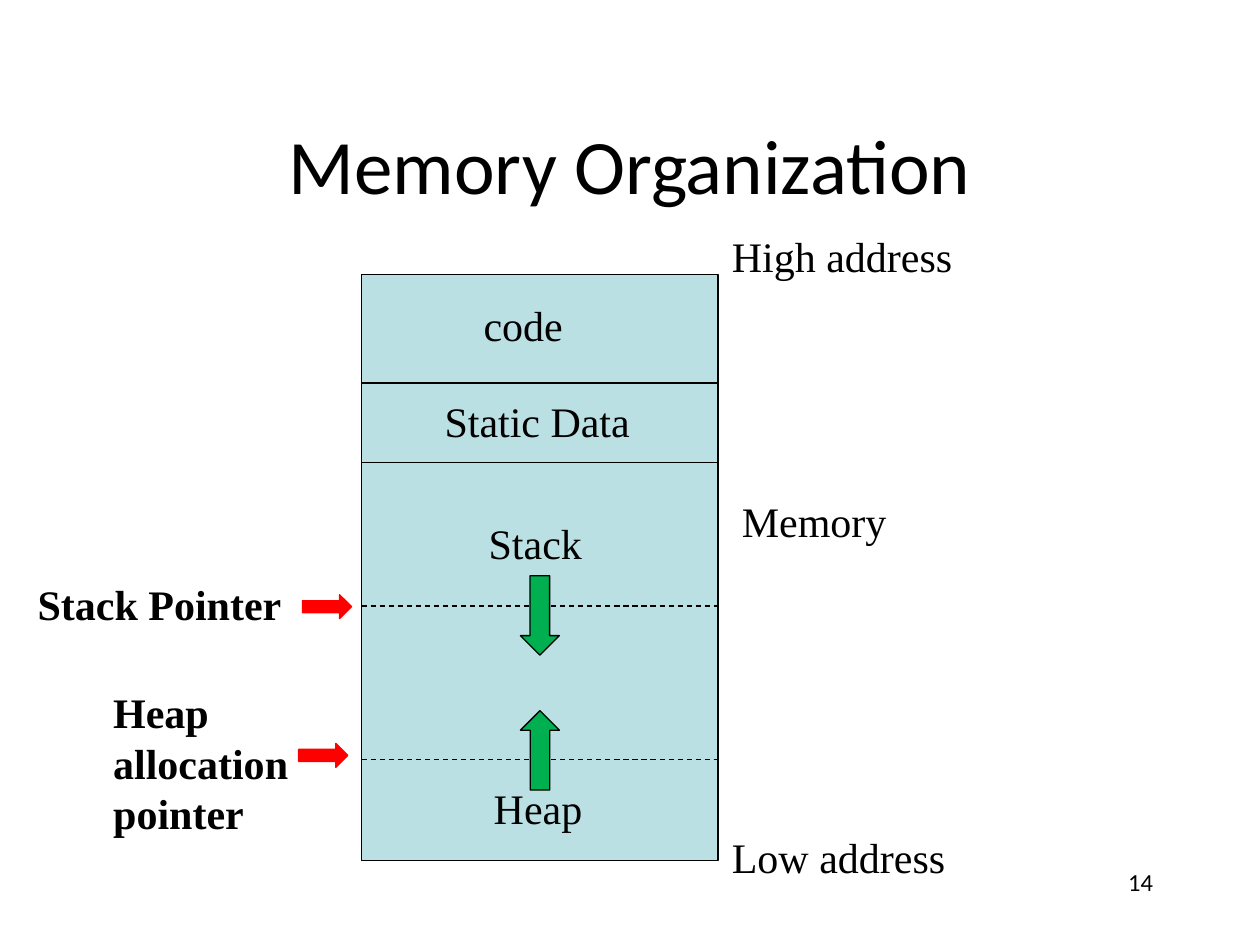
from dataclasses import dataclass

import pptx
import pptx.dml.color
import pptx.enum.dml
import pptx.enum.shapes
import pptx.enum.text
import pptx.oxml
import pptx.util
from pptx.util import Inches

SHAPE = pptx.enum.shapes.MSO_SHAPE
ALIGN = pptx.enum.text.PP_ALIGN
ANCHOR = pptx.enum.text.MSO_ANCHOR


@dataclass(frozen=True)
class Theme:
    """Colours, fonts and point sizes of the slide."""
    ink: str = "000000"
    memory: str = "BBE0E3"
    growth: str = "00B050"
    pointer: str = "FF0000"
    heading_font: str = "Calibri"
    body_font: str = "Times New Roman"
    title_size: int = 44
    label_size: int = 24
    number_size: int = 14
    line_width: float = 0.75


THEME = Theme()


def rgb(value):
    """Turn a hex string into a colour."""
    return pptx.dml.color.RGBColor.from_string(value)


def add_text(slide, text, left, top, width, height=0.5, font=THEME.body_font,
             size=THEME.label_size, bold=False, align=ALIGN.LEFT, anchor=ANCHOR.TOP):
    """Add a wrapped text box holding one paragraph."""
    sp = slide.shapes.add_textbox(Inches(left), Inches(top), Inches(width), Inches(height))
    tf = sp.text_frame
    tf.word_wrap = True
    tf.vertical_anchor = anchor
    p = tf.paragraphs[0]
    p.text = text
    p.alignment = align
    r = p.runs[0]
    r.font.name = font
    r.font.size = pptx.util.Pt(size)
    r.font.bold = bold
    r.font.color.rgb = rgb(THEME.ink)


def add_block(slide, kind, left, top, width, height, fill, line=THEME.ink):
    """Add a filled and outlined preset shape."""
    sp = slide.shapes.add_shape(kind, Inches(left), Inches(top), Inches(width), Inches(height))
    sp.shadow.inherit = False
    sp.fill.solid()
    sp.fill.fore_color.rgb = rgb(fill)
    sp.line.color.rgb = rgb(line)
    sp.line.width = pptx.util.Pt(THEME.line_width)
    return sp


def add_divider(slide, left, top, width, dashed=False):
    """Add a horizontal line, solid or dashed."""
    line = slide.shapes.add_connector(
        pptx.enum.shapes.MSO_CONNECTOR.STRAIGHT,
        Inches(left), Inches(top), Inches(left + width), Inches(top))
    line.line.color.rgb = rgb(THEME.ink)
    line.line.width = pptx.util.Pt(THEME.line_width)
    if dashed:
        line.line.dash_style = pptx.enum.dml.MSO_LINE.DASH
    sp_pr = line._element.spPr
    sp_pr.append(pptx.oxml.parse_xml(
        '<a:effectLst xmlns:a="http://schemas.openxmlformats.org/drawingml/2006/main"/>'))


def add_memory(slide, left, top, width, height):
    """Draw the memory column with its segments and growth arrows."""
    add_block(slide, SHAPE.RECTANGLE, left, top, width, height, THEME.memory)
    for offset, dashed in [(0.86, False), (1.49, False), (2.63, True), (3.85, True)]:
        add_divider(slide, left, top + offset, width, dashed)
    for text, dx, dy, label_width in [
            ("code", 0.87, 0.15, 1.97), ("Static Data", 0.56, 0.91, 1.97),
            ("Stack", 0.91, 1.88, 0.98), ("Heap", 0.95, 3.98, 0.98)]:
        add_text(slide, text, left + dx, top + dy, label_width)
    arrow_width = 0.31
    arrow_left = left + (width - arrow_width) / 2
    for dy, rotation in [(2.39, 0), (3.46, 180)]:
        arrow = add_block(slide, SHAPE.DOWN_ARROW, arrow_left, top + dy,
                          arrow_width, 0.63, THEME.growth)
        arrow.rotation = rotation


def add_address_labels(slide, left, top):
    """Name the memory column and its two address ends."""
    for text, dx, dy in [("High address", 0, 0), ("Memory", 0.08, 2.1), ("Low address", 0, 4.77)]:
        add_text(slide, text, left + dx, top + dy, 1.97)


def add_pointer(slide, text, left, top, width, height, arrow_left, arrow_top):
    """Add a bold pointer label and its red arrow, offset from the label box."""
    add_text(slide, text, left, top, width, height, bold=True)
    add_block(slide, SHAPE.RIGHT_ARROW, left + arrow_left, top + arrow_top,
              0.39, 0.19, THEME.pointer, THEME.pointer)


def main():
    """Build and save the slide."""
    prs = pptx.Presentation()
    prs.slide_width = Inches(10)
    prs.slide_height = Inches(7.5)
    slide = prs.slides.add_slide(prs.slide_layouts[6])
    add_text(slide, "Memory Organization", 0.75, 0.67, 8.5, 1.25, THEME.heading_font,
             THEME.title_size, align=ALIGN.CENTER, anchor=ANCHOR.MIDDLE)
    add_text(slide, "14", 7.17, 6.83, 2.08, 0.5, THEME.heading_font,
             THEME.number_size, align=ALIGN.RIGHT)
    add_memory(slide, 2.87, 2.18, 2.83, 4.65)
    add_address_labels(slide, 5.71, 1.78)
    add_pointer(slide, "Stack Pointer", 0.2, 4.54, 2.39, 0.5, 2.2, 0.18)
    add_pointer(slide, "Heap allocation pointer", 0.8, 5.4, 1.68, 1.31, 1.57, 0.5)
    prs.save("out.pptx")


if __name__ == "__main__":
    main()
